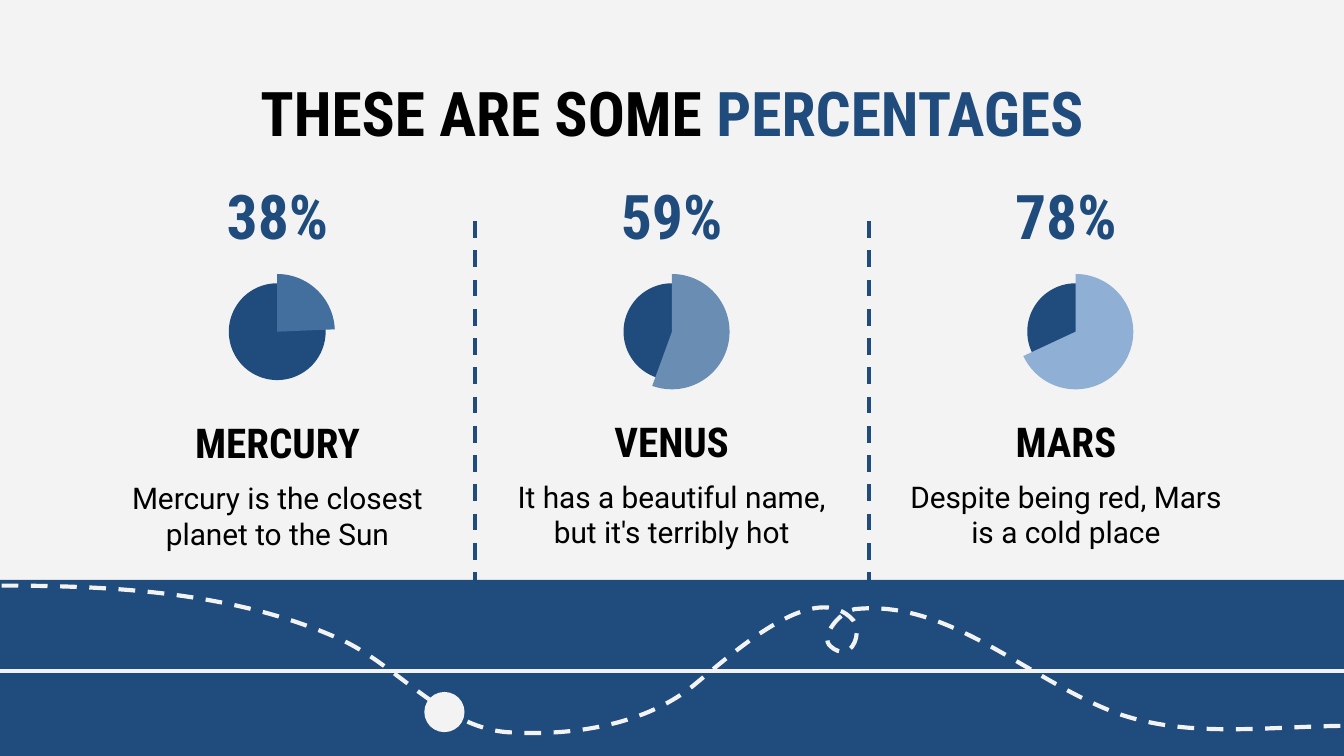
from dataclasses import dataclass

from lxml import etree
from pptx import Presentation
from pptx.dml.color import RGBColor
from pptx.enum import dml, shapes, text
from pptx.oxml.ns import qn
from pptx.util import Cm, Pt

PAPER, NAVY, BLACK = "F3F3F3", "1F4C7C", "000000"
HEADING, BODY = "Roboto Condensed", "Roboto"
COLUMN_LEFT, COLUMN_STEP, COLUMN_WIDTH = 1.98, 7.45, 6.53
PIE_Y, DISC_SIZE, WEDGE_SIZE = 6.27, 1.83, 2.18


@dataclass
class Planet:
    name: str
    percent: str
    fact: str
    wedge_color: str
    wedge_end: float  # degrees, clockwise from three o'clock
    pie_x: float
    drop: float = 0.0  # extra offset of name and fact


PLANETS = [
    Planet("MERCURY", "38%", "Mercury is the closest planet to the Sun",
           "436F9E", 357.68, 5.24, 0.03),
    Planet("VENUS", "59%", "It has a beautiful name, but it's terribly hot",
           "6A8DB4", 109.96, 12.7),
    Planet("MARS", "78%", "Despite being red, Mars is a cold place",
           "8FB0D4", 154.98, 20.33),
]

# Orbit: a start point, then Bézier segments (two controls and an end)
ORBIT_START = (0.03, 11.07)
ORBIT = [
    ((2.18, 11.07), (4.45, 11.2), (6.4, 12.07)),
    ((7.49, 12.55), (8.36, 13.74), (9.58, 13.84)),
    ((10.77, 13.92), (12.14, 13.72), (13.08, 12.98)),
    ((13.92, 12.29), (15.42, 10.92), (16.13, 11.73)),
    ((16.26, 11.89), (16.18, 12.25), (15.98, 12.32)),
    ((15.9, 12.34), (15.77, 12.29), (15.7, 12.22)),
    ((15.47, 12.04), (15.9, 11.51), (16.21, 11.51)),
    ((17.98, 11.35), (19.46, 12.88), (21.13, 13.49)),
    ((22.5, 13.97), (24.05, 13.72), (25.53, 13.72)),
]


def rgb(color: str) -> RGBColor:
    return RGBColor.from_string(color)


def style_line(line, color: str, dashed: bool) -> None:
    line.color.rgb = rgb(color)
    line.width = Pt(2.25)
    if dashed:
        line.dash_style = dml.MSO_LINE.DASH


def add_filled(slide, kind, left: float, top: float, width: float,
               height: float, color: str):
    shape = slide.shapes.add_shape(kind, Cm(left), Cm(top), Cm(width), Cm(height))
    shape.shadow.inherit = False
    shape.fill.solid()
    shape.fill.fore_color.rgb = rgb(color)
    shape.line.fill.background()
    return shape


def add_centred(slide, kind, x: float, y: float, size: float, color: str):
    return add_filled(slide, kind, x - size / 2, y - size / 2, size, size, color)


def add_line(slide, x1: float, y1: float, x2: float, y2: float,
             color: str, dashed: bool = False) -> None:
    line = slide.shapes.add_connector(
        shapes.MSO_CONNECTOR.STRAIGHT, Cm(x1), Cm(y1), Cm(x2), Cm(y2))
    style_line(line.line, color, dashed)
    etree.SubElement(line._element.spPr, qn("a:effectLst"))


def add_orbit(slide) -> None:
    builder = slide.shapes.build_freeform(Cm(ORBIT_START[0]), Cm(ORBIT_START[1]))
    builder.add_line_segments([(Cm(x), Cm(y)) for _, _, (x, y) in ORBIT], close=False)
    orbit = builder.convert_to_shape()
    orbit.shadow.inherit = False
    orbit.fill.background()
    style_line(orbit.line, PAPER, dashed=True)

    # Bend each straight segment into its Bézier curve
    for straight, curve in zip(list(orbit._element.iter(qn("a:lnTo"))), ORBIT):
        bend = etree.Element(qn("a:cubicBezTo"))
        for x, y in curve:
            etree.SubElement(bend, qn("a:pt"), x=str(Cm(x) - orbit.left),
                             y=str(Cm(y) - orbit.top))
        straight.getparent().replace(straight, bend)


def write(shape, parts: list[tuple[str, str]], size: float, font: str,
          bold: bool) -> None:
    frame = shape.text_frame
    frame.word_wrap = True
    frame.auto_size = text.MSO_AUTO_SIZE.NONE
    frame.vertical_anchor = text.MSO_ANCHOR.TOP
    frame.margin_left = frame.margin_right = Cm(0.25)
    frame.margin_top = frame.margin_bottom = Cm(0.25)
    paragraph = frame.paragraphs[0]
    paragraph.alignment = text.PP_ALIGN.CENTER
    paragraph.font.size = Pt(size)
    paragraph.font.name = font
    paragraph.font.bold = bold
    for words, color in parts:
        run = paragraph.add_run()
        run.text = words
        run.font.color.rgb = rgb(color)


def add_label(slide, left: float, top: float, height: float, words: str,
              color: str, size: float, font: str = HEADING, bold: bool = True) -> None:
    label = slide.shapes.add_textbox(Cm(left), Cm(top), Cm(COLUMN_WIDTH), Cm(height))
    write(label, [(words, color)], size, font, bold)


def add_planet(slide, planet: Planet, left: float) -> None:
    add_label(slide, left, 3.11, 1.73, planet.percent, NAVY, 33)
    add_label(slide, left, 7.62 + planet.drop, 1.27, planet.name, BLACK, 22)
    add_label(slide, left, 8.79 + planet.drop, 1.6, planet.fact, BLACK, 16,
              BODY, False)
    add_centred(slide, shapes.MSO_SHAPE.OVAL, planet.pie_x, PIE_Y, DISC_SIZE, NAVY)
    wedge = add_centred(slide, shapes.MSO_SHAPE.PIE, planet.pie_x, PIE_Y,
                        WEDGE_SIZE, planet.wedge_color)
    # Angles are 60000ths of a degree; adjustments count in 100000ths
    wedge.adjustments[0] = 270 * 0.6
    wedge.adjustments[1] = planet.wedge_end * 0.6


def main() -> None:
    deck = Presentation()
    deck.slide_width, deck.slide_height = Cm(25.4), Cm(14.29)
    slide = deck.slides.add_slide(deck.slide_layouts[5])
    slide.background.fill.solid()
    slide.background.fill.fore_color.rgb = rgb(PAPER)

    # Band with the orbit
    add_filled(slide, shapes.MSO_SHAPE.RECTANGLE, -0.05, 10.96, 25.5, 3.4, NAVY)
    add_line(slide, -0.05, 12.69, 25.45, 12.69, PAPER)
    add_orbit(slide)
    add_centred(slide, shapes.MSO_SHAPE.OVAL, 8.4, 13.46, 0.76, PAPER)

    # Title
    title = slide.shapes.title
    title.left, title.top = Cm(COLUMN_LEFT), Cm(1.17)
    title.width, title.height = Cm(21.44), Cm(1.6)
    write(title, [("THESE ARE SOME ", BLACK), ("PERCENTAGES", NAVY)], 33, HEADING, True)

    # Planet columns and the dividers between them
    for index, planet in enumerate(PLANETS):
        add_planet(slide, planet, COLUMN_LEFT + index * COLUMN_STEP)
    for index in range(len(PLANETS) - 1):
        divider = 8.97 + index * COLUMN_STEP
        add_line(slide, divider, 4.18, divider, 11.1, NAVY, dashed=True)

    deck.save("out.pptx")


if __name__ == "__main__":
    main()
